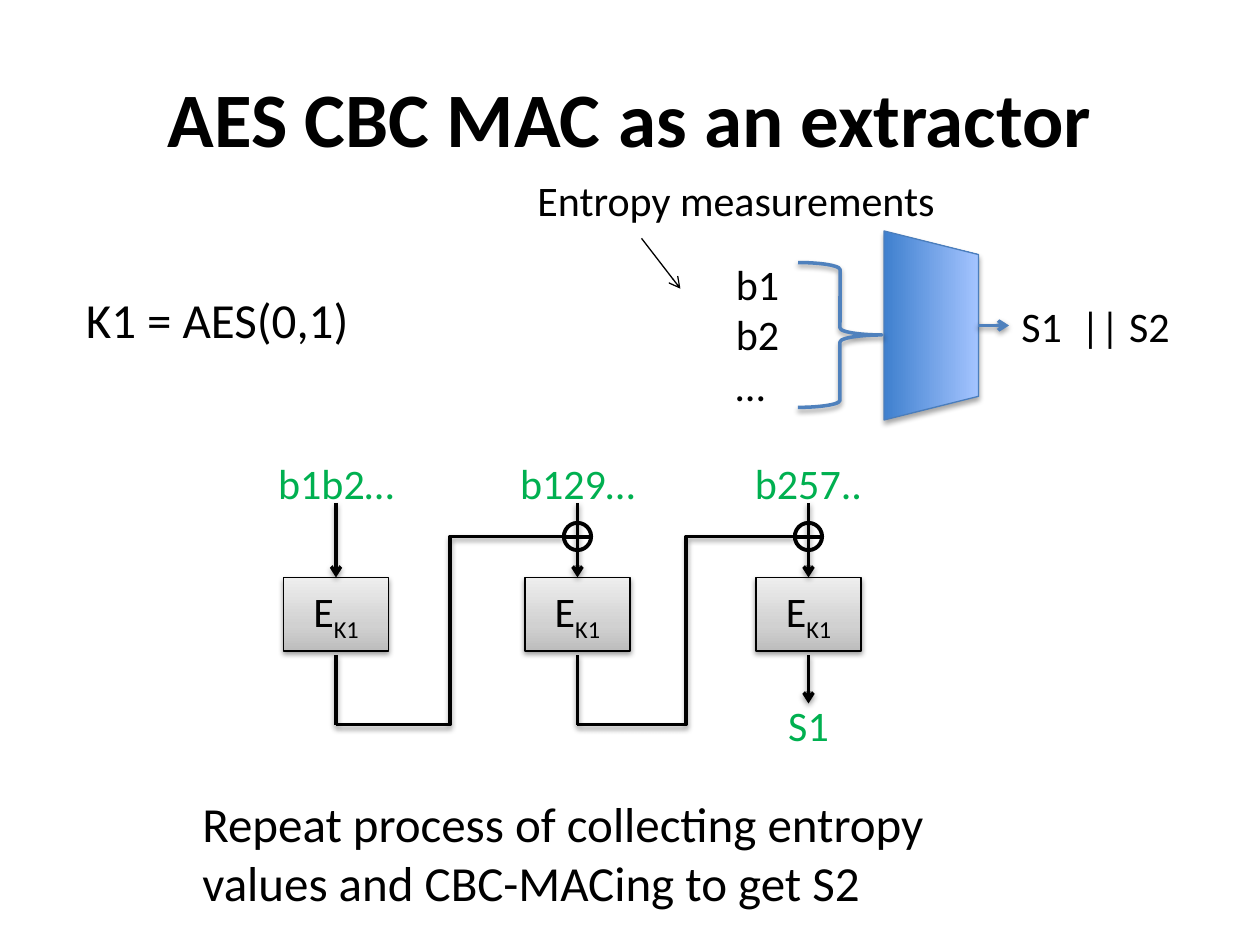
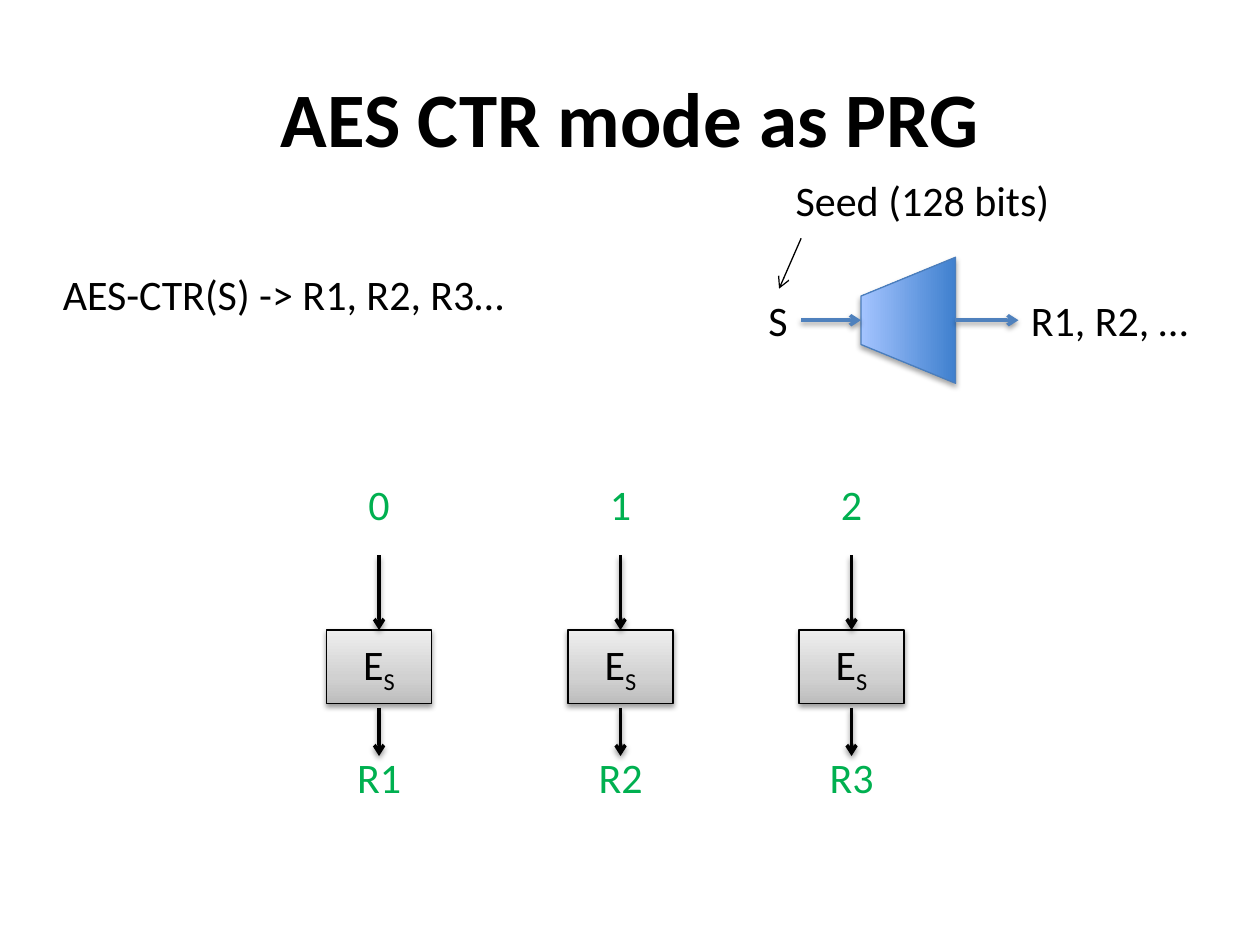
from copy import deepcopy
from lxml.etree import SubElement
from pptx import Presentation
from pptx.dml.color import RGBColor
from pptx.enum.shapes import MSO_CONNECTOR as Line, MSO_SHAPE as Shape
from pptx.enum.text import MSO_ANCHOR as Anchor, MSO_AUTO_SIZE as AutoSize, PP_ALIGN as Align
from pptx.oxml.ns import qn
from pptx.util import Inches, Pt

BLACK = RGBColor(0x00, 0x00, 0x00)
GREEN = RGBColor(0x00, 0xB0, 0x50)
BLUE = RGBColor(0x4F, 0x81, 0xBD)
BLUE_EDGE = RGBColor(0x4B, 0x7E, 0xBC)
GREYS = [(0, RGBColor(0xBD, 0xBD, 0xBD)), (0.35, RGBColor(0xD1, 0xD1, 0xD1)),
         (1, RGBColor(0xEE, 0xEE, 0xEE))]
BLUES = [(0, RGBColor(0x3F, 0x80, 0xCE)), (1, RGBColor(0xA4, 0xC4, 0xFF))]
FONT = "Calibri"

prs = Presentation()
prs.slide_width, prs.slide_height = Inches(10), Inches(7.5)
U = prs.slide_width / 120
BOX_W, BOX_H = 10, 7
BOX_COLS = [27, 50, 72]
BOX_ROW = 55
LABEL_W, LABEL_H = 14, 6
XOR_D, XOR_ROW = 2.6, 51.1


def write(s, text, at=None, sp=None, size=24, color=BLACK, align=Align.LEFT,
          bold=False, wrap=False, anchor=Anchor.TOP, sub=None):
    sp = sp or s.shapes.add_textbox(*(int(v * U) for v in at))
    tf = sp.text_frame
    tf.word_wrap = wrap
    tf.auto_size = AutoSize.NONE if anchor == Anchor.MIDDLE else AutoSize.SHAPE_TO_FIT_TEXT
    tf.vertical_anchor = anchor
    for i, row in enumerate(text.split("\n")):
        p = tf.add_paragraph() if i else tf.paragraphs[0]
        p.alignment = align
        for part in [row, sub] if sub else [row]:
            r = p.add_run()
            r.text = part
            r.font.name, r.font.size, r.font.bold = FONT, Pt(size), bold
            r.font.color.rgb = color
            if part == sub:
                r.font._element.set("baseline", "-25000")


def draw(s, kind, at, color=BLACK, width=2, stops=None, shadow=38, dist=1.6, arrow=False):
    at = [int(v * U) for v in at]
    if isinstance(kind, Line):
        sp = s.shapes.add_connector(kind, *at)
    else:
        sp = s.shapes.add_shape(kind, *at)
        sp.fill.background()
    spPr = sp._element.spPr
    if stops:
        sp.fill.gradient()
        sp.fill.gradient_angle = 90
        gs_lst = spPr.find(qn("a:gradFill")).find(qn("a:gsLst"))
        while len(gs_lst) < len(stops):
            gs_lst.append(deepcopy(gs_lst[0]))
        for stop, (pos, rgb) in zip(sp.fill.gradient_stops, stops):
            stop.position, stop.color.rgb = pos, rgb
    sp.line.color.rgb, sp.line.width = color, Pt(width)
    if arrow:
        SubElement(spPr.find(qn("a:ln")), qn("a:tailEnd"), type="arrow")
    effects = SubElement(spPr, qn("a:effectLst"))
    if shadow:
        sh = SubElement(effects, qn("a:outerShdw"), blurRad=str(Pt(3.1)), dist=str(Pt(dist)),
                        dir="5400000", rotWithShape="0")
        clr = SubElement(sh, qn("a:srgbClr"), val="000000")
        SubElement(clr, qn("a:alpha"), val=str(shadow * 1000))
    return sp


slides = [
    dict(title="AES CBC MAC as an extractor", dx=0, dy=0, label_row=43, key="K1",
         inputs=["b1b2…", "b129…", "b257.."], outputs=[None, None, "S1"],
         notes=[("Entropy measurements", (50, 16, 40.8, 6), 24),
                ("S1  || S2", (96.1, 28, 16.7, 6), 24),
                ("b1\nb2\n…", (68.9, 24, 6.7, 15.7), 24),
                ("K1 = AES(0,1)", (7, 27, 27.7, 6.9), 28)],
         pointer=(61.1, 22.7, 64.8, 27.5),
         funnel=(79.7, 26.5, 18, 9), turn=90, slant=0.25,
         flows=[(93.1, 31, 96.1, 31)]),
    dict(title="AES CTR mode as PRG", dx=4.1, dy=5, label_row=45, key="S",
         inputs=["0", "1", "2"], outputs=["R1", "R2", "R3"],
         notes=[("Seed (128 bits)", (74.6, 16, 26.8, 6), 24),
                ("AES-CTR(S) -> R1, R2, R3…", (4.8, 25, 44.9, 6), 24),
                ("S", (72, 27.5, 4.3, 6), 24),
                ("R1, R2, …", (97, 27.5, 17.8, 6), 24)],
         pointer=(76.3, 22.7, 74.2, 27.5),
         funnel=(80.5, 26, 12, 9), turn=270, slant=0.41,
         flows=[(76.3, 30.5, 82, 30.5), (91, 30.5, 97, 30.5)]),
]

for d in slides:
    s = prs.slides.add_slide(prs.slide_layouts[6])
    write(s, d["title"], (6, 3.6, 108, 15), size=44, bold=True, wrap=True,
          align=Align.CENTER, anchor=Anchor.MIDDLE)
    for text, at, size in d["notes"]:
        write(s, text, at, size=size)
    draw(s, Line.STRAIGHT, d["pointer"], width=0.75, shadow=0, arrow=True)
    funnel = draw(s, Shape.TRAPEZOID, d["funnel"], BLUE_EDGE, 0.75, BLUES, shadow=35, dist=1.8)
    funnel.rotation, funnel.adjustments[0] = d["turn"], d["slant"]
    for flow in d["flows"]:
        draw(s, Line.STRAIGHT, flow, BLUE, arrow=True)

    top = BOX_ROW + d["dy"]
    bottom = top + BOX_H
    for col, source, result in zip(BOX_COLS, d["inputs"], d["outputs"]):
        x = col + d["dx"]
        mid = x + BOX_W / 2
        box = draw(s, Shape.RECTANGLE, (x, top, BOX_W, BOX_H), width=0.75, stops=GREYS)
        write(s, "E", sp=box, sub=d["key"], align=Align.CENTER, anchor=Anchor.MIDDLE)
        write(s, source, (mid - LABEL_W / 2, d["label_row"], LABEL_W, LABEL_H),
              color=GREEN, align=Align.CENTER)
        feed = draw(s, Line.STRAIGHT, (mid, top - 7.1, mid, top), arrow=True)
        feed.end_connect(box, 0)
        draw(s, Line.STRAIGHT, (mid, bottom + 0.4, mid, bottom + (5 if result else 7)),
             arrow=bool(result))
        if result:
            write(s, result, (mid - LABEL_W / 2, bottom + 4, LABEL_W, LABEL_H),
                  color=GREEN, align=Align.CENTER)

s = prs.slides[0]
draw(s, Shape.RIGHT_BRACE, (76, 25, 8, 13.8), BLUE)
for col, next_col in zip(BOX_COLS, BOX_COLS[1:]):
    mid = next_col + BOX_W / 2
    left, right = mid - XOR_D / 2, mid + XOR_D / 2
    draw(s, Shape.OVAL, (left, XOR_ROW - XOR_D / 2, XOR_D, XOR_D), width=2.25, shadow=0)
    draw(s, Line.STRAIGHT, (left, XOR_ROW, right, XOR_ROW), width=2.25, shadow=0)
    draw(s, Line.ELBOW, (col + BOX_W / 2, BOX_ROW + BOX_H + 7, left, XOR_ROW))
write(s, "Repeat process of collecting entropy values and CBC-MACing to get S2",
      (18.1, 75, 76.9, 12.5), size=28, wrap=True)

prs.save("out.pptx")
